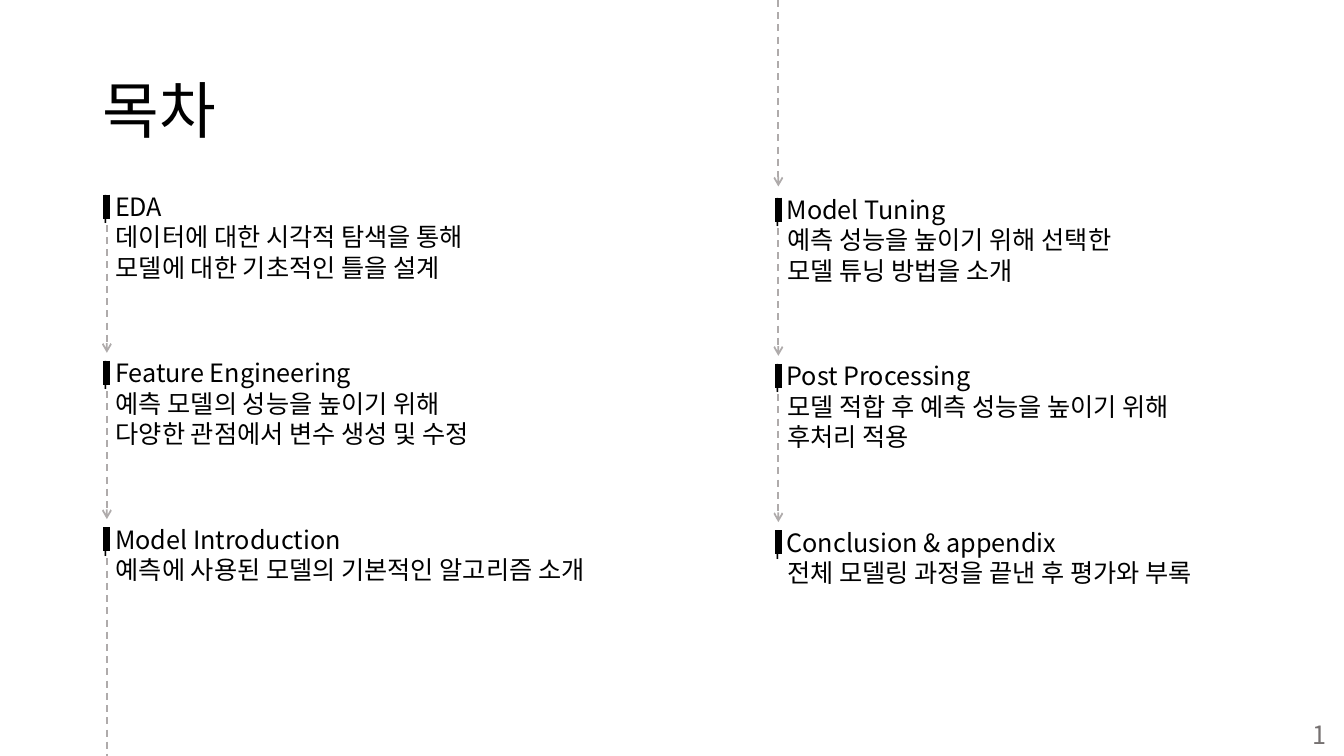
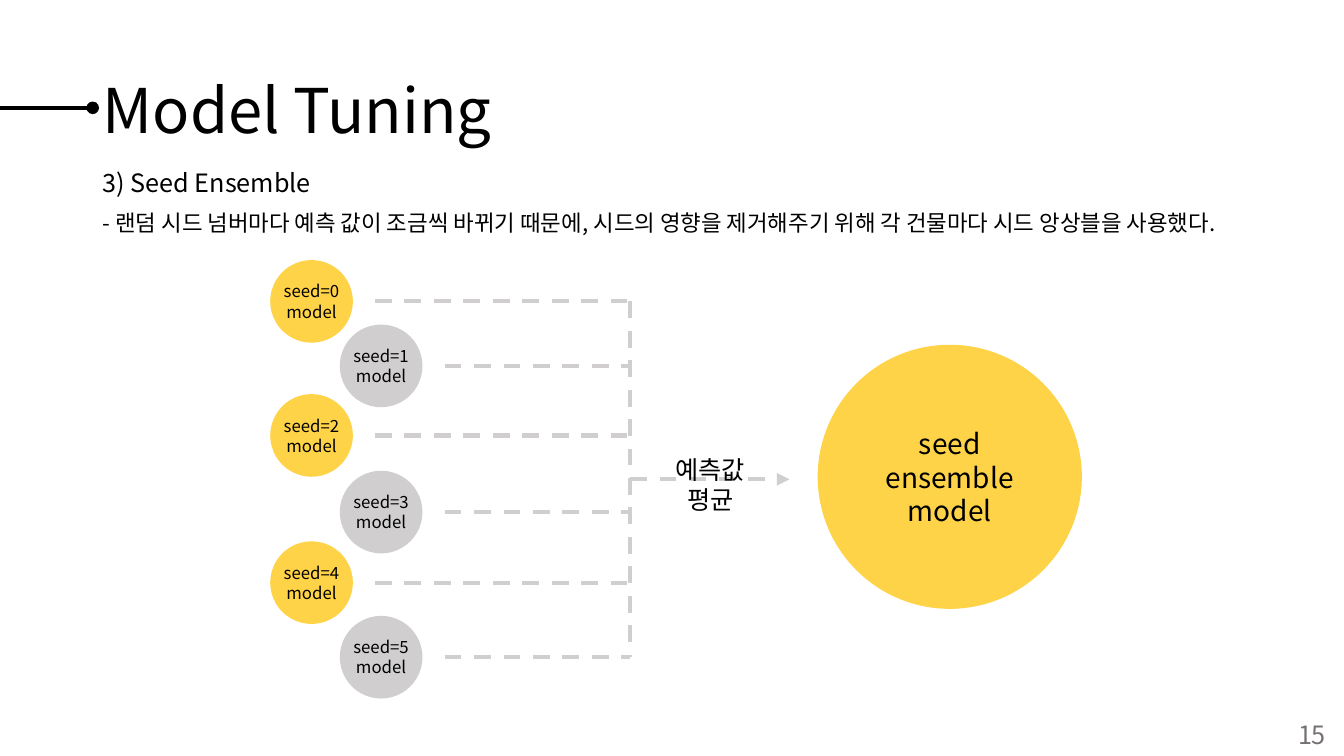
from lxml.etree import SubElement
from pptx import Presentation
from pptx.dml.color import RGBColor
from pptx.enum.dml import MSO_LINE_DASH_STYLE as Dash
from pptx.enum.shapes import MSO_CONNECTOR, MSO_SHAPE
from pptx.enum.text import MSO_ANCHOR as Anchor, PP_ALIGN as Align
from pptx.oxml.ns import qn
from pptx.util import Inches, Pt

FONT = "Noto Sans CJK KR"
COLORS = {
    "ink": "000000",
    "page": "767171",
    "guide": "AFABAB",
    "gray": "D0CECE",
    "yellow": "FFD347",
}
SLIDE_W, SLIDE_H = 13.33, 7.5
MARGIN = 0.92

# Agenda geometry
AGENDA_PITCH = 1.65
BAR_INDENT, BAR_OFFSET, BAR_LENGTH = 0.14, 0.08, 0.24
GUIDE_OFFSET = 0.38
AGENDA_LEFT = [
    ("EDA", ["데이터에 대한 시각적 탐색을 통해", "모델에 대한 기초적인 틀을 설계"]),
    ("Feature Engineering",
     ["예측 모델의 성능을 높이기 위해", "다양한 관점에서 변수 생성 및 수정"]),
    ("Model Introduction", ["예측에 사용된 모델의 기본적인 알고리즘 소개"]),
]
AGENDA_RIGHT = [
    ("Model Tuning", ["예측 성능을 높이기 위해 선택한", "모델 튜닝 방법을 소개"]),
    ("Post Processing", ["모델 적합 후 예측 성능을 높이기 위해", "후처리 적용"]),
    ("Conclusion & appendix", ["전체 모델링 과정을 끝낸 후 평가와 부록"]),
]

# Seed diagram geometry
SEED_CENTERS_Y = [2.99, 3.63, 4.32, 5.08, 5.78, 6.52]
SEED_COLUMNS = [(3.09, "yellow"), (3.78, "gray")]
SEED_SIZE, ENSEMBLE_SIZE = 0.82, 2.62
BRANCH_GAP, TRUNK_X = 0.22, 6.25


def color(key):
    return RGBColor.from_string(COLORS[key])


def write_lines(frame, lines, size, ink="ink", align=Align.LEFT):
    """Fill a text frame with one paragraph per line."""
    frame.text = "\n".join(lines)
    for paragraph in frame.paragraphs:
        paragraph.alignment = align
        for run in paragraph.runs:
            run.font.size = Pt(size)
            run.font.color.rgb = color(ink)
            run.font.name = FONT
            SubElement(run.font._element, qn("a:ea")).set("typeface", FONT)


def add_text(slide, left, top, width, height, lines, size, **style):
    frame = slide.shapes.add_textbox(
        Inches(left), Inches(top), Inches(width), Inches(height)).text_frame
    frame.word_wrap = True
    write_lines(frame, lines, size, **style)
    return frame


def add_line(slide, start, end, ink, width, dash=None, tail=None):
    line = slide.shapes.add_connector(
        MSO_CONNECTOR.STRAIGHT, *(Inches(value) for value in (*start, *end)))
    line.line.color.rgb = color(ink)
    line.line.width = Pt(width)
    if dash:
        line.line.dash_style = dash
    properties = line._element.spPr
    if tail:
        SubElement(properties.find(qn("a:ln")), qn("a:tailEnd")).set("type", tail)
    SubElement(properties, qn("a:effectLst"))


def add_circle(slide, center_x, center_y, size, fill, lines, text_size):
    circle = slide.shapes.add_shape(
        MSO_SHAPE.OVAL, Inches(center_x - size / 2), Inches(center_y - size / 2),
        Inches(size), Inches(size))
    circle.shadow.inherit = False
    circle.fill.solid()
    circle.fill.fore_color.rgb = color(fill)
    circle.line.fill.background()
    frame = circle.text_frame
    frame.margin_left = frame.margin_right = 0
    frame.margin_top = frame.margin_bottom = 0
    frame.word_wrap = False
    frame.vertical_anchor = Anchor.MIDDLE
    write_lines(frame, lines, text_size, align=Align.CENTER)


def add_page(deck, title, number):
    """Add a blank slide with the shared title and page number."""
    slide = deck.slides.add_slide(deck.slide_layouts[6])
    heading = add_text(slide, MARGIN, 0.4, 11.5, 1.45, [title], 44)
    heading.vertical_anchor = Anchor.MIDDLE
    heading.paragraphs[0].line_spacing = 0.9
    add_text(slide, 12.65, 7.09, 0.6, 0.41, [str(number)], 18,
             ink="page", align=Align.RIGHT)
    return slide


def add_guide(slide, x, top, bottom, tail="arrow"):
    add_line(slide, (x, top), (x, bottom), "guide", 1.25, Dash.DASH, tail)


def add_agenda_column(slide, left, top, width, topics):
    bar_x = left + BAR_INDENT
    for index, (topic, details) in enumerate(topics):
        y = top + index * AGENDA_PITCH
        frame = add_text(slide, left, y, width, 0.4 + 0.3 * len(details),
                         [f"| {topic}", *details], 18)
        for detail in frame.paragraphs[1:]:
            detail._p.get_or_add_pPr().set("marL", str(Inches(0.13)))
        if index < len(topics) - 1:
            add_guide(slide, bar_x, y + GUIDE_OFFSET, y + AGENDA_PITCH)
        bar_top = y + BAR_OFFSET
        add_line(slide, (bar_x, bar_top), (bar_x, bar_top + BAR_LENGTH), "ink", 5)


def build_agenda(deck):
    slide = add_page(deck, "목차", 1)
    right = 7.58
    add_agenda_column(slide, MARGIN, 1.85, 6.5, AGENDA_LEFT)
    add_agenda_column(slide, right, 1.88, 5.6, AGENDA_RIGHT)
    add_guide(slide, MARGIN + BAR_INDENT, 5.54, SLIDE_H, tail=None)
    add_guide(slide, right + BAR_INDENT, 0, 1.85)


def add_flow(slide, start, end, tail=None):
    add_line(slide, start, end, "gray", 3, Dash.DASH, tail)


def build_seed_ensemble(deck):
    slide = add_page(deck, "Model Tuning", 15)
    add_line(slide, (0, 1.07), (MARGIN, 1.07), "ink", 3, tail="oval")
    add_text(slide, MARGIN, 1.61, 4.46, 0.4, ["3) Seed Ensemble"], 18)
    add_text(slide, MARGIN, 2.03, 11.65, 0.37,
             ["- 랜덤 시드 넘버마다 예측 값이 조금씩 바뀌기 때문에, "
              "시드의 영향을 제거해주기 위해 각 건물마다 시드 앙상블을 사용했다."], 16)

    for seed, y in enumerate(SEED_CENTERS_Y):
        x, fill = SEED_COLUMNS[seed % 2]
        add_flow(slide, (x + SEED_SIZE / 2 + BRANCH_GAP, y), (TRUNK_X, y))
        add_circle(slide, x, y, SEED_SIZE, fill, [f"seed={seed}", "model"], 12)
    first, last = SEED_CENTERS_Y[0], SEED_CENTERS_Y[-1]
    middle = (first + last) / 2
    add_flow(slide, (TRUNK_X, first), (TRUNK_X, last))
    add_flow(slide, (TRUNK_X, middle), (7.83, middle), tail="triangle")
    add_text(slide, 5.63, 4.46, 2.83, 0.71, ["예측값", "평균"], 18,
             align=Align.CENTER)
    add_circle(slide, 9.42, 4.73, ENSEMBLE_SIZE, "yellow",
               ["seed", "ensemble", "model"], 20)


def main():
    deck = Presentation()
    deck.slide_width, deck.slide_height = Inches(SLIDE_W), Inches(SLIDE_H)
    build_agenda(deck)
    build_seed_ensemble(deck)
    deck.save("out.pptx")


if __name__ == "__main__":
    main()
